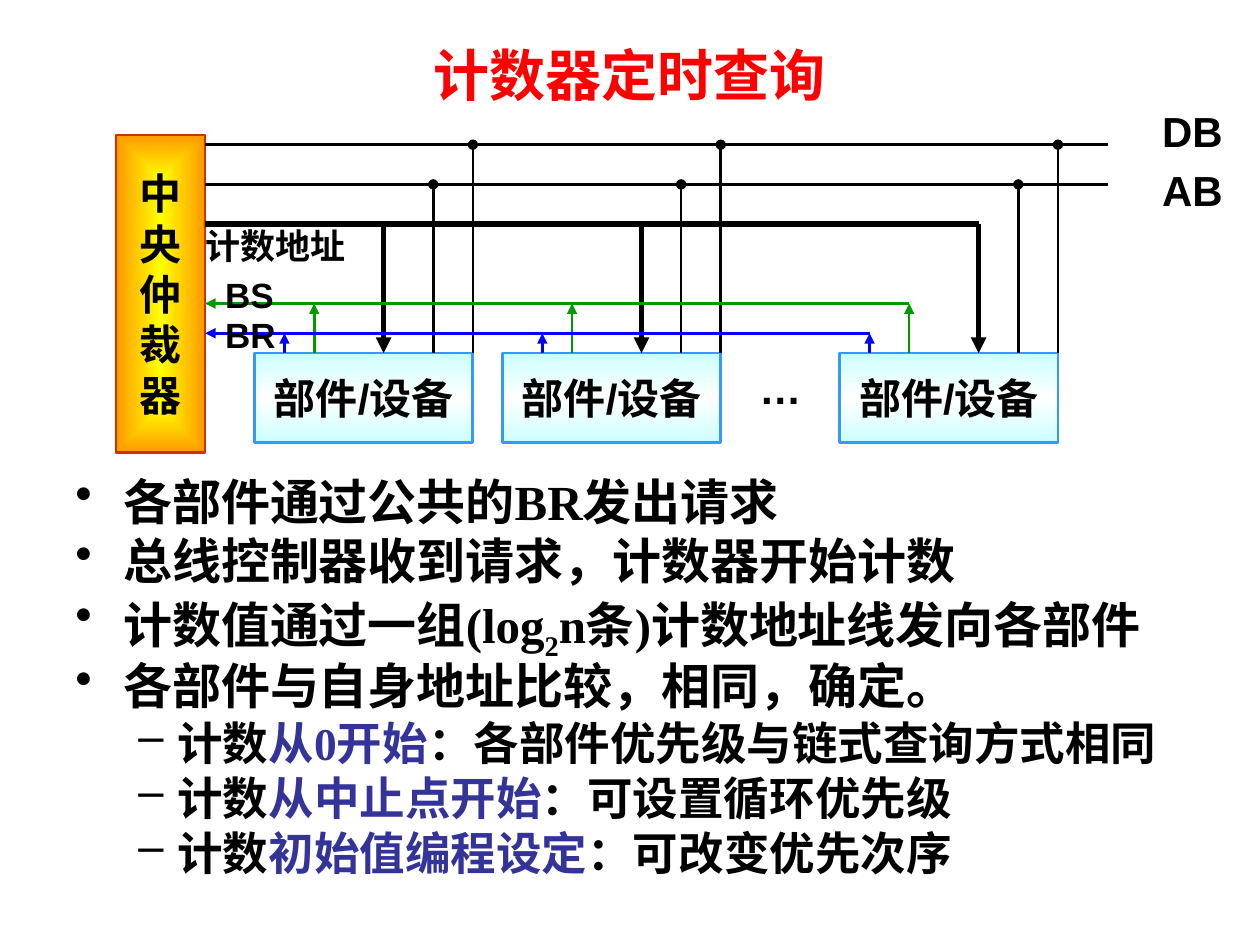
from dataclasses import dataclass

import lxml.etree
import pptx
import pptx.dml.color
import pptx.enum.shapes
import pptx.enum.text
import pptx.oxml
import pptx.oxml.ns
import pptx.util

ALIGN = pptx.enum.text.PP_ALIGN
ANCHOR = pptx.enum.text.MSO_ANCHOR
qn = pptx.oxml.ns.qn


@dataclass(frozen=True)
class Theme:
    sans: str = "Arial"
    serif: str = "Times New Roman"
    title: str = "FF0000"
    text: str = "000000"
    accent: str = "333399"
    grant: str = "009900"
    request: str = "0000FF"
    arbiter_line: str = "CC3300"
    arbiter_fill: tuple = ((0, "FFFF00"), (100, "FF9900"))
    device_line: str = "3399FF"
    device_fill: tuple = ((0, "CCFFFF"), (50, "FFFFFF"), (100, "CCFFFF"))
    title_size: int = 32
    body_size: int = 28
    sub_size: int = 26
    node_size: int = 24
    label_size: int = 20
    thin: float = 1.5
    thick: float = 3


T = Theme()


@dataclass(frozen=True)
class Box:
    """An area in inches, divided into columns and rows."""
    left: float
    top: float
    width: float
    height: float
    cols: int = 1
    rows: int = 1

    def point(self, col, row):
        return (pptx.util.Inches(self.left + col * self.width / self.cols),
                pptx.util.Inches(self.top + row * self.height / self.rows))

    def area(self, col=0, row=0, cols=1, rows=1):
        x, y = self.point(col, row)
        x2, y2 = self.point(col + cols, row + rows)
        return x, y, x2 - x, y2 - y


@dataclass(frozen=True)
class Bus:
    """A line from the arbiter with one tap column per device; tips are arrowhead types."""
    row: int
    end: int
    taps: tuple
    color: str = T.text
    weight: float = T.thin
    bus_tip: str = "none"
    tap_start: str = "none"
    tap_end: str = "none"


ARBITER_COLS, DEVICE_ROW, DEVICE_COLS, DEVICE_ROWS = 9, 22, 22, 9
DEVICES = (14, 39, 73)
BUSES = (
    Bus(1, 100, (36, 61, 95), tap_start="oval"),
    Bus(5, 100, (32, 57, 91), tap_start="oval"),
    Bus(9, 87, (27, 53, 87), weight=T.thick, tap_end="triangle"),
    Bus(17, 80, (20, 46, 80), T.grant, bus_tip="triangle", tap_start="triangle"),
    Bus(20, 76, (17, 43, 76), T.request, bus_tip="triangle", tap_start="triangle"),
)
# text, size, alignment, (column, row, columns, rows)
LABELS = (
    ("DB", T.node_size, ALIGN.LEFT, (105.5, -3, 9, 5)),
    ("AB", T.node_size, ALIGN.LEFT, (105.5, 3, 8, 5)),
    ("计数地址", T.label_size, ALIGN.LEFT, (9, 9, 16, 4.2)),
    ("BS", T.label_size, ALIGN.LEFT, (11, 14, 8, 4.2)),
    ("BR", T.label_size, ALIGN.LEFT, (11, 18, 8, 4.2)),
    ("…", T.node_size, ALIGN.CENTER, (61, 23, 12, 5)),
)
POINTS = (
    (0, ("各部件通过公共的BR发出请求",)),
    (0, ("总线控制器收到请求，计数器开始计数",)),
    (0, ("计数值通过一组(log", ("2", "sub"), "n条)计数地址线发向各部件")),
    (0, ("各部件与自身地址比较，相同，确定。",)),
    (1, ("计数", ("从0开始", "accent"), "：各部件优先级与链式查询方式相同")),
    (1, ("计数", ("从中止点开始", "accent"), "：可设置循环优先级")),
    (1, ("计数", ("初始值编程设定", "accent"), "：可改变优先次序")),
)
# size, left margin, hanging indent, space before, bullet
LEVELS = ((T.body_size, 0.38, 0.38, 7, "•"), (T.sub_size, 0.81, 0.31, 6.5, "–"))


def rgb(value):
    return pptx.dml.color.RGBColor.from_string(value)


def add_run(p, text, size, color=T.text, font=T.sans):
    r = p.add_run()
    r.text = text
    r.font.size = pptx.util.Pt(size)
    r.font.name = font
    r.font.bold = True
    r.font.color.rgb = rgb(color)
    return r


def set_frame(sp, anchor=ANCHOR.TOP, wrap=True, inset=(0, 0)):
    tf = sp.text_frame
    tf.word_wrap = wrap
    tf.vertical_anchor = anchor
    tf.margin_left = tf.margin_right = pptx.util.Inches(inset[0])
    tf.margin_top = tf.margin_bottom = pptx.util.Inches(inset[1])
    return tf


def next_paragraph(tf, index):
    return tf.add_paragraph() if index else tf.paragraphs[0]


def set_gradient(sp, stops, shade):
    """Fill with a gradient; shade is the XML of its direction."""
    sp.fill.solid()
    solid = sp._element.spPr.find(qn("a:solidFill"))
    marks = "".join(f'<a:gs pos="{pos * 1000}"><a:srgbClr val="{color}"/></a:gs>'
                    for pos, color in stops)
    grad = pptx.oxml.parse_xml(f'<a:gradFill {pptx.oxml.ns.nsdecls("a")} rotWithShape="1">'
                               f"<a:gsLst>{marks}</a:gsLst>{shade}</a:gradFill>")
    solid.getparent().replace(solid, grad)


def add_node(slide, area, lines, stops, shade, line_color):
    sp = slide.shapes.add_shape(pptx.enum.shapes.MSO_SHAPE.RECTANGLE, *area)
    sp.shadow.inherit = False
    set_gradient(sp, stops, shade)
    sp.line.color.rgb = rgb(line_color)
    sp.line.width = pptx.util.Pt(T.thin)
    tf = set_frame(sp, ANCHOR.MIDDLE, wrap=False)
    for i, text in enumerate(lines):
        p = next_paragraph(tf, i)
        p.alignment = ALIGN.CENTER
        add_run(p, text, T.node_size)


def add_line(slide, start, end, bus, head, tail="none"):
    cxn = slide.shapes.add_connector(pptx.enum.shapes.MSO_CONNECTOR.STRAIGHT, *start, *end)
    cxn.line.color.rgb = rgb(bus.color)
    cxn.line.width = pptx.util.Pt(bus.weight)
    spPr = cxn._element.spPr
    ln = spPr.find(qn("a:ln"))
    lxml.etree.SubElement(ln, qn("a:headEnd"), type=head)
    lxml.etree.SubElement(ln, qn("a:tailEnd"), type=tail)
    lxml.etree.SubElement(spPr, qn("a:effectLst"))


def draw_title(slide, box):
    tf = set_frame(slide.shapes.add_textbox(*box.area()), ANCHOR.MIDDLE, inset=(0.1, 0.05))
    p = tf.paragraphs[0]
    p.alignment = ALIGN.CENTER
    add_run(p, "计数器定时查询", T.title_size, T.title)


def draw_diagram(slide, box):
    add_node(slide, box.area(0, 0, ARBITER_COLS, box.rows), "中央仲裁器", T.arbiter_fill,
             '<a:path path="rect"><a:fillToRect l="50000" t="50000" r="50000" b="50000"/></a:path>',
             T.arbiter_line)
    for col in DEVICES:
        add_node(slide, box.area(col, DEVICE_ROW, DEVICE_COLS, DEVICE_ROWS), ["部件/设备"],
                 T.device_fill, '<a:lin ang="5400000" scaled="1"/>', T.device_line)
    for bus in BUSES:
        add_line(slide, box.point(ARBITER_COLS, bus.row), box.point(bus.end, bus.row),
                 bus, bus.bus_tip)
        for col in bus.taps:
            add_line(slide, box.point(col, bus.row), box.point(col, DEVICE_ROW),
                     bus, bus.tap_start, bus.tap_end)
    for text, size, align, cells in LABELS:
        p = set_frame(slide.shapes.add_textbox(*box.area(*cells))).paragraphs[0]
        p.alignment = align
        add_run(p, text, size)


def draw_points(slide, box):
    tf = set_frame(slide.shapes.add_textbox(*box.area()), inset=(0.1, 0.05))
    for i, (level, parts) in enumerate(POINTS):
        size, margin, hang, before, bullet = LEVELS[level]
        p = next_paragraph(tf, i)
        p.level = level
        pPr = p._p.get_or_add_pPr()
        pPr.set("marL", str(pptx.util.Inches(margin)))
        pPr.set("indent", str(-pptx.util.Inches(hang)))
        clr = lxml.etree.SubElement(pPr, qn("a:buClr"))
        lxml.etree.SubElement(clr, qn("a:srgbClr"), val=T.text)
        lxml.etree.SubElement(pPr, qn("a:buChar"), char=bullet)
        p.line_spacing = 0.8
        if i:
            p.space_before = pptx.util.Pt(before)
        for part in parts:
            text, style = (part, "") if isinstance(part, str) else part
            r = add_run(p, text, size, T.accent if style == "accent" else T.text, T.serif)
            if style == "sub":
                r._r.get_or_add_rPr().set("baseline", "-25000")


def main():
    prs = pptx.Presentation()
    prs.slide_width, prs.slide_height = pptx.util.Inches(10), pptx.util.Inches(7.5)
    slide = prs.slides.add_slide(prs.slide_layouts[6])
    draw_title(slide, Box(0.5, 0.17, 9, 0.83))
    draw_points(slide, Box(0.5, 3.78, 9, 3.72))
    draw_diagram(slide, Box(0.92, 1.07, 7.87, 2.52, cols=100, rows=32))
    prs.save("out.pptx")


if __name__ == "__main__":
    main()
